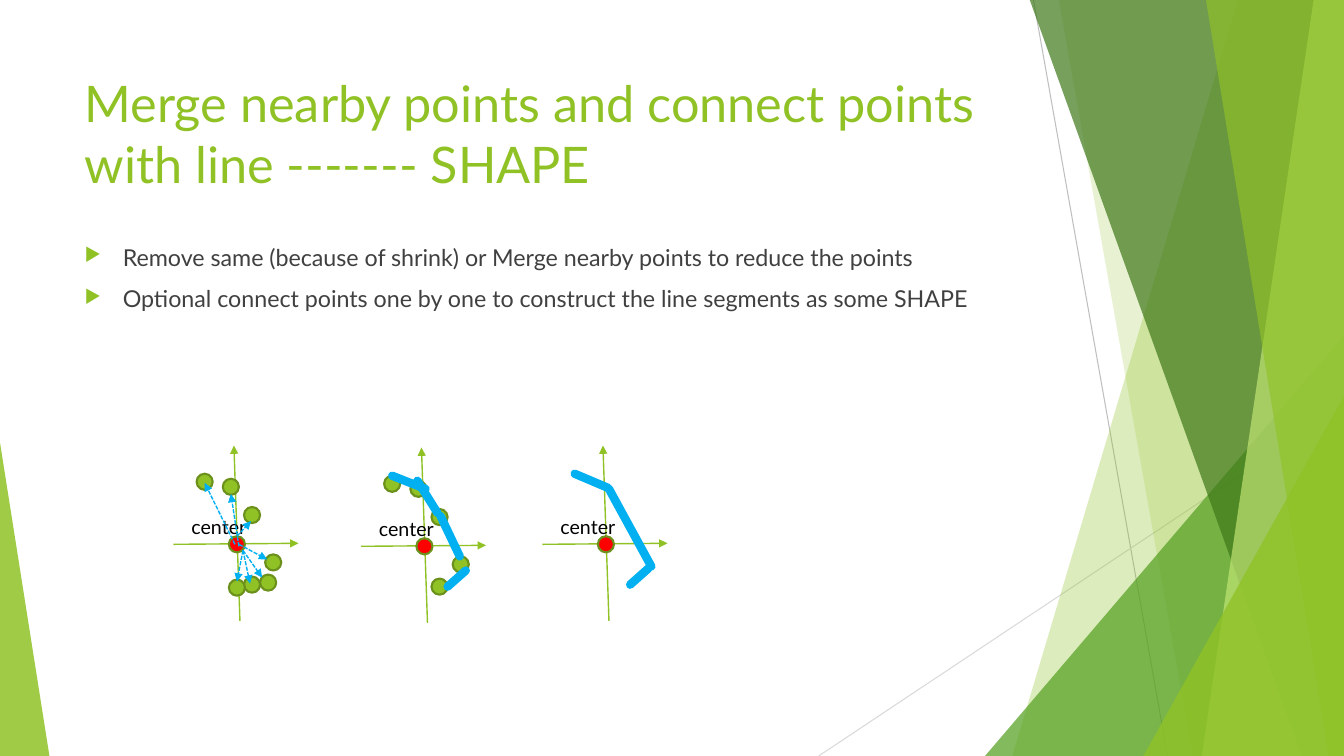
"""Build the slide on merging nearby points and connecting them into a shape."""
from lxml import etree
from pptx import Presentation
from pptx.dml.color import RGBColor
from pptx.enum.dml import MSO_LINE
from pptx.enum.shapes import MSO_CONNECTOR, MSO_SHAPE
from pptx.oxml.ns import qn
from pptx.util import Inches, Pt

STRAIGHT = MSO_CONNECTOR.STRAIGHT
OVAL, TRIANGLE = MSO_SHAPE.OVAL, MSO_SHAPE.ISOSCELES_TRIANGLE
DASH = MSO_LINE.SQUARE_DOT
FONT = "Lato"
WIDTH, HEIGHT, BLEED = 13.33, 7.5, 0.01
DOT = 0.16
COLORS = {
    "green": "90C226", "mid": "54A021", "dark": "3F7819", "pale": "C0E474",
    "rim": "6B901C", "red": "FF0000", "blue": "00B0F0", "body": "404040",
    "black": "000000", "gray": "BFBFBF", "silver": "D9D9D9",
}

TITLE = "Merge nearby points and connect points with line ------- SHAPE"
BULLETS = [
    "Remove same (because of shrink) or Merge nearby points to reduce the points",
    "Optional connect points one by one to construct the line segments as some SHAPE",
]
HAIRLINES = [((10.25, 0), (11.58, 7.5), "gray"), ((13.33, 4.03), (8.12, 7.5), "silver")]
BACKDROP = [
    ("band", (12.28, 10.04), "green", 30),
    ("band", (10.5, 11.83), "green", 20),
    ("triangle", (9.77, 3.33, 3.56, 1), "mid", 72),
    ("band", (10.21, 12.91), "dark", 70),
    ("band", (13.03, 11.92), "pale", 70),
    ("band", (11.96, 13.18), "green", 65),
    ("triangle", (11.34, 3.93, 1.99, 1), "green", 80),
    ("triangle", (0, 4.39, 0.49, 0), "green", 85),
]

AXES = [((1.72, 5.4), (2.96, 5.39)), ((2.38, 6.16), (2.32, 4.42))]
CENTER = (2.27, 5.32)
LABEL = (1.8, 5.06)
MERGED_DOTS = [(1.95, 4.7), (2.21, 4.75), (2.42, 5.03), (2.63, 5.5), (2.42, 5.72)]
ALL_DOTS = MERGED_DOTS + [(2.58, 5.7), (2.27, 5.75)]
RAYS = [
    ((2.33, 5.4), (2.03, 4.79)), ((2.37, 5.42), (2.29, 4.9)),
    ((2.35, 5.32), (2.49, 5.17)), ((2.37, 5.4), (2.65, 5.55)),
    ((2.41, 5.46), (2.6, 5.73)), ((2.41, 5.46), (2.48, 5.79)),
    ((2.41, 5.46), (2.35, 5.77)),
]
LOOSE_STROKES = [
    ((2.03, 4.7), (2.36, 4.83)), ((2.28, 4.75), (2.48, 5.07)),
    ((2.7, 5.5), (2.51, 5.1)), ((2.76, 5.64), (2.58, 5.8)),
]
JOINED_STROKES = [
    ((2.04, 4.7), (2.37, 4.84)), ((2.8, 5.62), (2.38, 4.85)),
    ((2.77, 5.64), (2.59, 5.8)),
]
FIGURES = [
    {"shift": (0, 0), "dots": ALL_DOTS, "rays": RAYS, "strokes": []},
    {"shift": (1.86, 0.02), "dots": MERGED_DOTS, "rays": [], "strokes": LOOSE_STROKES},
    {"shift": (3.66, 0), "dots": [], "rays": [], "strokes": JOINED_STROKES},
]


def rgb(name):
    return RGBColor.from_string(COLORS[name])


def add_line(start, end, color, width, arrow=False, dashed=False, rounded=False):
    line = page.shapes.add_connector(STRAIGHT, *map(Inches, start + end))
    line.line.color.rgb = rgb(color)
    line.line.width = Pt(width)
    if dashed:
        line.line.dash_style = DASH
    outline = line.line._get_or_add_ln()
    if rounded:
        outline.set("cap", "rnd")
        etree.SubElement(outline, qn("a:round"))
    if arrow:
        etree.SubElement(outline, qn("a:tailEnd"), type="triangle")
    etree.SubElement(line._element.spPr, qn("a:effectLst"))


def paint(shape, color, opacity=100):
    shape.shadow.inherit = False
    shape.fill.solid()
    shape.fill.fore_color.rgb = rgb(color)
    shape.line.fill.background()
    if opacity < 100:
        tint = shape._element.spPr.find(".//" + qn("a:srgbClr"))
        etree.SubElement(tint, qn("a:alpha"), val=str(opacity * 1000))


def add_band(top_x, bottom_x):
    corners = [(WIDTH, -BLEED), (WIDTH, HEIGHT), (bottom_x, HEIGHT)]
    outline = page.shapes.build_freeform(Inches(top_x), Inches(-BLEED))
    outline.add_line_segments([(Inches(x), Inches(y)) for x, y in corners])
    return outline.convert_to_shape()


def add_triangle(left, top, width, apex):
    shape = page.shapes.add_shape(TRIANGLE, *map(Inches, (left, top, width, HEIGHT - top)))
    shape.adjustments[0] = apex
    return shape


def add_dot(place, color):
    dot = page.shapes.add_shape(OVAL, *map(Inches, place + (DOT, DOT)))
    paint(dot, color)
    dot.line.color.rgb = rgb("rim")
    dot.line.width = Pt(1.5)


def add_text(area, lines, size, color):
    box = page.shapes.add_textbox(*map(Inches, area))
    frame = box.text_frame
    frame.word_wrap = True
    frame.text = "\n".join(lines)
    for para in frame.paragraphs:
        for span in para.runs:
            span.font.name = FONT
            span.font.size = Pt(size)
            span.font.color.rgb = rgb(color)
    return frame


def add_bullet(para):
    para.space_before = Pt(10)
    props = para._p.get_or_add_pPr()
    props.set("marL", str(Inches(0.38)))
    props.set("indent", str(-Inches(0.38)))
    tint = etree.SubElement(props, qn("a:buClr"))
    etree.SubElement(tint, qn("a:srgbClr"), val=COLORS["green"])
    etree.SubElement(props, qn("a:buSzPct"), val="80000")
    etree.SubElement(props, qn("a:buChar"), char="▶")


def add_figure(shift, dots, rays, strokes):
    def move(point):
        return (point[0] + shift[0], point[1] + shift[1])

    for start, end in AXES:
        add_line(move(start), move(end), "green", 1, arrow=True)
    for dot in dots:
        add_dot(move(dot), "green")
    add_dot(move(CENTER), "red")
    add_text(move(LABEL) + (0.8, 0.34), ["center"], 14, "black")
    for start, end in rays:
        add_line(move(start), move(end), "blue", 1, arrow=True, dashed=True)
    for start, end in strokes:
        add_line(move(start), move(end), "blue", 6, rounded=True)


deck = Presentation()
deck.slide_width, deck.slide_height = Inches(WIDTH), Inches(HEIGHT)
page = deck.slides.add_slide(deck.slide_layouts[6])

for start, end, color in HAIRLINES:
    add_line(start, end, color, 0.75)
for kind, geometry, color, opacity in BACKDROP:
    build = add_band if kind == "band" else add_triangle
    paint(build(*geometry), color, opacity)

add_text((0.74, 0.67, 9.4, 1.44), [TITLE], 36, "green")
for para in add_text((0.74, 2.36, 9.4, 0.91), BULLETS, 16.6, "body").paragraphs:
    add_bullet(para)
for figure in FIGURES:
    add_figure(**figure)

deck.save("out.pptx")
